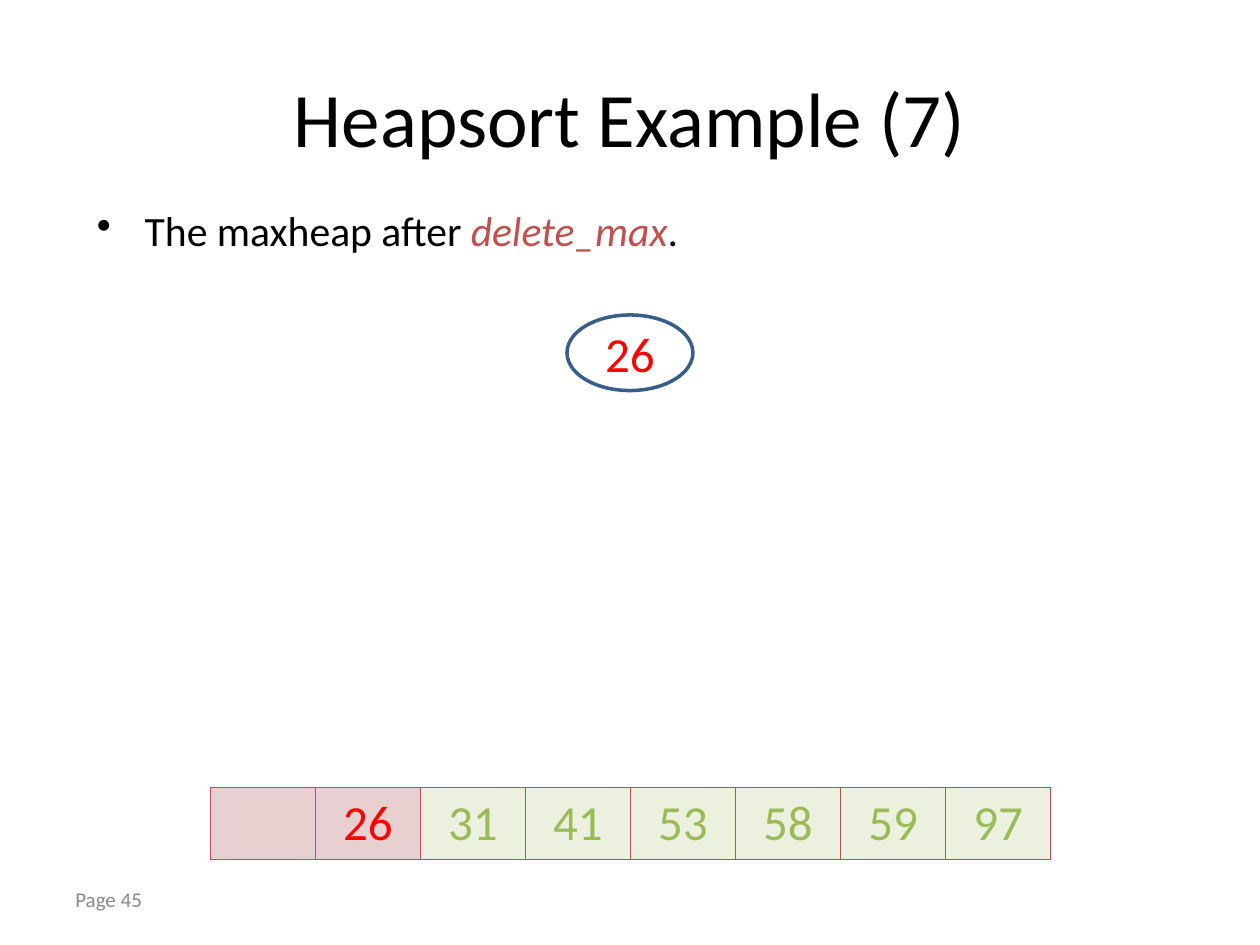
from lxml.etree import SubElement
from pptx import Presentation
from pptx.dml.color import RGBColor
from pptx.enum.shapes import MSO_SHAPE as Shape
from pptx.enum.text import MSO_ANCHOR as Anchor, PP_ALIGN as Align
from pptx.oxml.ns import qn
from pptx.util import Inches, Pt

COLORS = {
    "ink": "000000",
    "accent": "C0504D",
    "muted": "898989",
    "heap_text": "FF0000",
    "heap_fill": "E8D0D0",
    "sorted_text": "9BBB59",
    "sorted_fill": "EBF1DE",
    "node_line": "385D8A",
}
FONT = "Calibri"
WIDTH, HEIGHT = 10, 7.5
COLUMN, ROW = WIDTH / 12, HEIGHT / 75


def color(name):
    return RGBColor.from_string(COLORS[name])


def grid(left, top, columns, rows):
    return [Inches(round(length, 2)) for length in
            (left * COLUMN, top * ROW, columns * COLUMN, rows * ROW)]


def write(frame, *parts, size, ink="ink", align=Align.LEFT,
          anchor=Anchor.TOP, spacing=None, bullet=None, indent=0.38):
    frame.word_wrap = True
    frame.vertical_anchor = anchor
    para = frame.paragraphs[0]
    para.alignment = align
    if spacing:
        para.line_spacing = spacing
    if bullet:
        settings = para._p.get_or_add_pPr()
        settings.set("marL", str(Inches(indent)))
        settings.set("indent", str(-Inches(indent)))
        SubElement(settings, qn("a:buChar"), char=bullet)
    for part in parts:
        text, part_ink, italic = part if isinstance(part, tuple) else (part, ink, False)
        span = para.add_run()
        span.text = text
        span.font.name = FONT
        span.font.size = Pt(size)
        span.font.italic = italic
        span.font.color.rgb = color(part_ink)


def add_text(page, box, *parts, **style):
    write(page.shapes.add_textbox(*box).text_frame, *parts, **style)


def add_heading(page, box):
    add_text(page, box, "Heapsort Example (7)", size=44,
             align=Align.CENTER, anchor=Anchor.MIDDLE)


def add_statement(page, box):
    add_text(page, box, "The maxheap after ", ("delete_max", "accent", True), ".",
             size=23.8, bullet="•")


def add_page_number(page, box):
    add_text(page, box, "Page 45", size=12, ink="muted",
             anchor=Anchor.MIDDLE, spacing=0.85)


def add_heap_node(page, box, value):
    node = page.shapes.add_shape(Shape.OVAL, *box)
    node.shadow.inherit = False
    node.fill.background()
    node.line.color.rgb = color("node_line")
    node.line.width = Pt(2)
    write(node.text_frame, value, size=28, ink="heap_text",
          align=Align.CENTER, anchor=Anchor.MIDDLE)


def add_borders(cell):
    settings = cell._tc.get_or_add_tcPr()
    for position, side in enumerate(("lnL", "lnR", "lnT", "lnB")):
        border = settings.makeelement(qn(f"a:{side}"), {"w": str(Pt(0.45))})
        settings.insert(position, border)
        fill = SubElement(border, qn("a:solidFill"))
        SubElement(fill, qn("a:srgbClr"), val=COLORS["accent"])


def add_array(page, box, values, heap_size):
    table = page.shapes.add_table(1, len(values), *box).table
    table.first_row = table.horz_banding = False
    for index, value in enumerate(values):
        kind = "heap" if index <= heap_size else "sorted"
        cell = table.cell(0, index)
        cell.fill.solid()
        cell.fill.fore_color.rgb = color(f"{kind}_fill")
        add_borders(cell)
        if value:
            write(cell.text_frame, value, size=28, ink=f"{kind}_text", align=Align.CENTER)


def main():
    deck = Presentation()
    deck.slide_width, deck.slide_height = Inches(WIDTH), Inches(HEIGHT)
    page = deck.slides.add_slide(deck.slide_layouts[6])
    add_heading(page, grid(0.6, 3, 10.8, 12.5))
    add_statement(page, grid(0.8, 15.8, 10.5, 5.2))
    add_page_number(page, grid(0.6, 69.5, 2.8, 4))
    add_array(page, grid(2, 62.5, 8, 5.7),
              ["", "26", "31", "41", "53", "58", "59", "97"], heap_size=1)
    add_heap_node(page, grid(5.4, 25, 1.2, 6), "26")
    deck.save("out.pptx")


if __name__ == "__main__":
    main()
